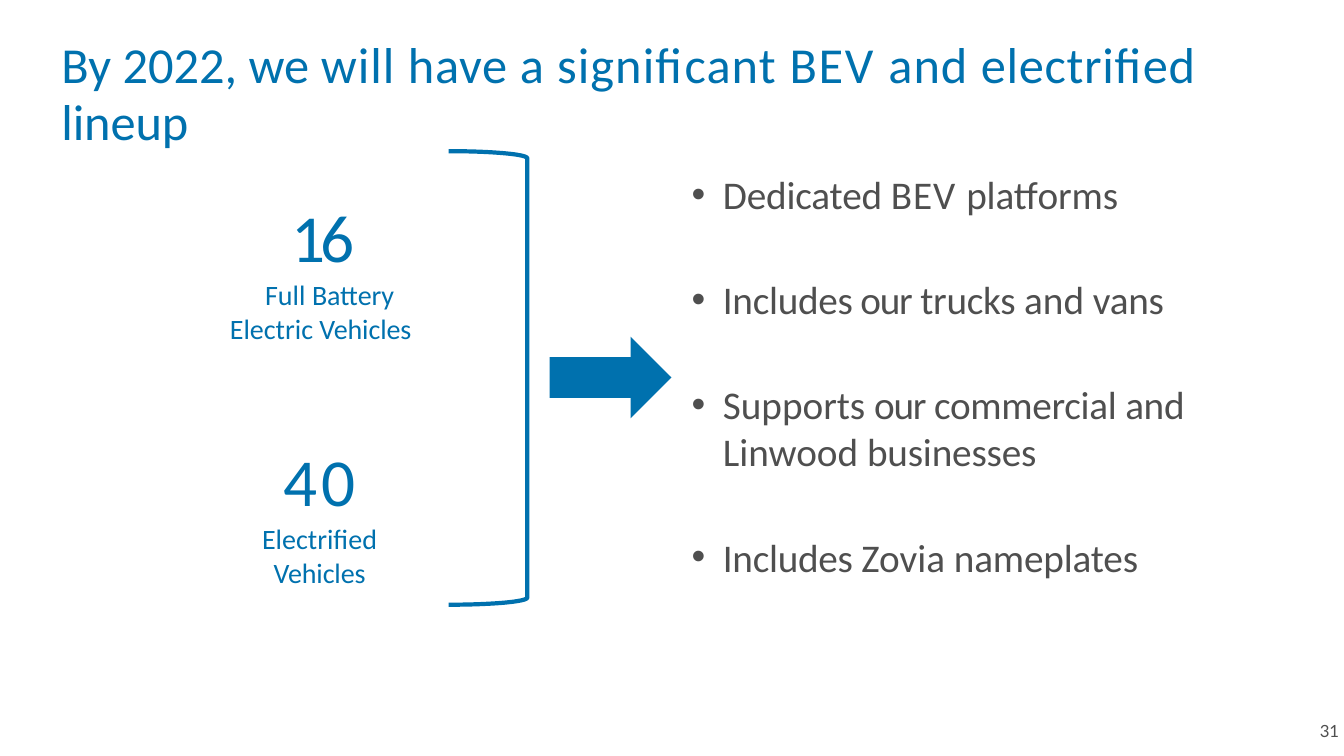
from lxml import etree
from pptx import Presentation
from pptx import util as u
from pptx.dml.color import RGBColor
from pptx.enum import shapes, text
from pptx.oxml.ns import qn

COLORS = {"blue": "0071AE", "gray": "4F4F4F"}
CENTER = text.PP_ALIGN.CENTER


class SlideBuilder:
    def __init__(self, slide, font="Calibri"):
        self.slide = slide
        self.font = font

    def rgb(self, name):
        return RGBColor.from_string(COLORS[name])

    def text_box(self, left, top, width, height, inset=0.01):
        box = self.slide.shapes.add_textbox(*map(u.Inches, (left, top, width, height)))
        tf = box.text_frame
        tf.word_wrap = True
        tf.margin_left = tf.margin_right = tf.margin_bottom = 0
        tf.margin_top = u.Inches(inset)
        return tf

    def paragraph(self, tf, runs, size, color, font=None, align=None,
                  before=0, left=0, indent=0, bullet=False):
        """Fill the next paragraph with (wording, letter spacing in points) runs."""
        p = tf.paragraphs[0] if not tf.paragraphs[0].runs else tf.add_paragraph()
        p.alignment = align
        if before:
            p.space_before = u.Pt(before)
        p_pr = p._p.get_or_add_pPr()
        p_pr.set("marL", str(u.Inches(left)))
        p_pr.set("indent", str(u.Inches(indent)))
        if bullet:
            etree.SubElement(p_pr, qn("a:buFont")).set("typeface", "Arial")
            etree.SubElement(p_pr, qn("a:buChar")).set("char", "•")
        for wording, spacing in runs:
            r = p.add_run()
            r.text = wording
            r.font.name = font or self.font
            r.font.size = u.Pt(size)
            r.font.color.rgb = self.rgb(color)
            r._r.get_or_add_rPr().set("spc", str(round(spacing * 100)))

    def title_line(self, top, runs):
        tf = self.text_box(0.6, top, 11.9, 0.63)
        self.paragraph(tf, runs, 36, "blue", left=0.01)

    def count(self, place, number, label, **label_format):
        tf = self.text_box(*place)
        self.paragraph(tf, [number], 48, "blue", align=CENTER)
        self.paragraph(tf, label, 20, "blue", before=1.1, **label_format)

    def bullets(self, place, items):
        tf = self.text_box(*place)
        for i, runs in enumerate(items):
            self.paragraph(tf, runs, 28, "gray", before=41.5 if i else 0,
                           left=0.33, indent=-0.31, bullet=True)

    def shape(self, kind, left, top, width, height):
        sp = self.slide.shapes.add_shape(kind, *map(u.Inches, (left, top, width, height)))
        sp.shadow.inherit = False
        return sp

    def arrow(self, *place):
        sp = self.shape(shapes.MSO_SHAPE.RIGHT_ARROW, *place)
        sp.fill.solid()
        sp.fill.fore_color.rgb = self.rgb("blue")
        sp.line.fill.background()

    def bracket(self, *place):
        sp = self.shape(shapes.MSO_SHAPE.RIGHT_BRACKET, *place)
        sp.adjustments[0] = 0.09
        sp.fill.background()
        sp.line.color.rgb = self.rgb("blue")
        sp.line.width = u.Pt(3)


def main():
    prs = Presentation()
    prs.slide_width, prs.slide_height = u.Inches(13.33), u.Inches(7.5)
    s = SlideBuilder(prs.slides.add_slide(prs.slide_layouts[6]))

    s.title_line(0.32, [("By 2022, we ", 0), ("will ", 0.7), ("have a ", 0.5),
                        ("significant ", 0.8), ("BEV ", 1.2), ("and ", 0.7),
                        ("electrified", 0.5)])
    s.title_line(0.88, [("lineup", -0.1)])

    s.count((2.27, 1.93, 1.87, 1.51), ("16", -3.2),
            [("Full ", 0), ("Battery ", -0.1), ("Electric", 0), (" Vehicles", -0.1)],
            left=0.01, indent=0.35)
    s.count((2.22, 4.35, 1.9, 1.51), ("40", 3.1),
            [("Electrified ", 0), ("Vehicles", -0.1)], align=CENTER)

    s.bracket(4.45, 1.5, 0.78, 4.5)
    s.arrow(5.45, 3.34, 1.21, 0.81)

    s.bullets((6.84, 1.68, 4.95, 4.11), [
        [("Dedicated ", -0.1), ("BEV ", 0.7), ("platforms", -0.1)],
        [("Includes", -0.2), (" our ", -0.9), ("trucks ", -0.2), ("and ", 0),
         ("vans", -0.2)],
        [("Supports ", 0), ("our ", -0.9), ("commercial and ", -0.2),
         ("Linwood ", 0), ("businesses", -0.1)],
        [("Includes ", -0.2), ("Zovia ", 0), ("nameplates", -0.1)],
    ])

    page_number = s.text_box(13.04, 7.1, 0.28, 0.27, inset=0.05)
    s.paragraph(page_number, [("31", -0.2)], 12, "gray", font="Lato", left=0.05)
    prs.save("out.pptx")


if __name__ == "__main__":
    main()
